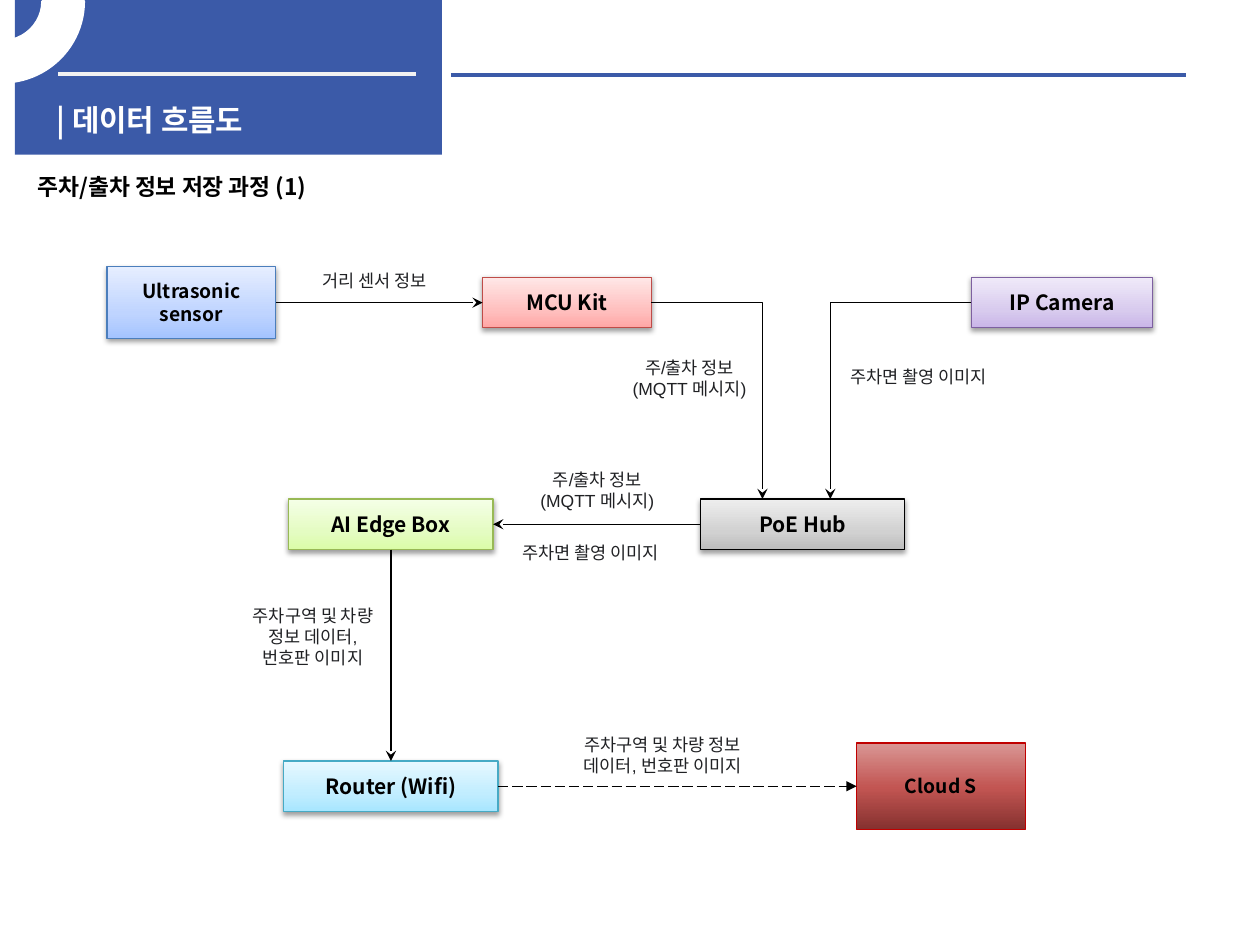
import lxml.etree
import pptx
import pptx.dml.color
import pptx.enum.dml
import pptx.enum.shapes
import pptx.enum.text
import pptx.oxml
import pptx.oxml.ns
import pptx.util

Cm, Pt, qn = pptx.util.Cm, pptx.util.Pt, pptx.oxml.ns.qn
SHAPE = pptx.enum.shapes.MSO_SHAPE
LINE = pptx.enum.shapes.MSO_CONNECTOR
ALIGN = pptx.enum.text.PP_ALIGN
ANCHOR = pptx.enum.text.MSO_ANCHOR
NS = pptx.oxml.ns.nsdecls("a")
HEAD_FONT, LABEL_FONT = "Noto Sans CJK KR", "Arial"
BLUE = "3B5AA8"
TOP, LEFT, BOTTOM, RIGHT = range(4)  # connection sites of a rectangle


def rgb(value):
    return pptx.dml.color.RGBColor.from_string(value)


def write(sp, text, size, font, color, bold=False, align=ALIGN.LEFT):
    tf = sp.text_frame
    tf.word_wrap = True
    tf.text = text
    for p in tf.paragraphs:
        p.alignment = align
        for r in p.runs:
            r.font.size, r.font.name, r.font.bold = Pt(size), font, bold
            r.font.color.rgb = rgb(color)
            ea = lxml.etree.SubElement(r.font._element, qn("a:ea"))
            ea.set("typeface", HEAD_FONT)


def add_text(s, x, y, w, h, text, *style, **options):
    sp = s.shapes.add_textbox(Cm(x), Cm(y), Cm(w), Cm(h))
    write(sp, text, *style, **options)


def add_filled(s, kind, x, y, w, h, color):
    sp = s.shapes.add_shape(kind, Cm(x), Cm(y), Cm(w), Cm(h))
    sp.shadow.inherit = False
    sp.fill.solid()
    sp.fill.fore_color.rgb = rgb(color)
    sp.line.fill.background()
    return sp


def add_line(s, x1, y1, x2, y2, color="000000", width=0.75, kind=LINE.STRAIGHT):
    c = s.shapes.add_connector(kind, x1, y1, x2, y2)
    c.line.color.rgb = rgb(color)
    c.line.width = Pt(width)
    lxml.etree.SubElement(c._element.spPr, qn("a:effectLst"))
    return c


def add_arrowhead(c, kind="stealth"):
    lxml.etree.SubElement(c.line._get_or_add_ln(), qn("a:tailEnd")).set("type", kind)


def add_node(s, x, y, w, h, text, size, stops, border, shadow=True):
    sp = add_filled(s, SHAPE.RECTANGLE, x, y, w, h, "FFFFFF")
    sp.line.color.rgb = rgb(border)
    sp.line.width = Pt(0.75)
    write(sp, text, size, HEAD_FONT, "000000", bold=True, align=ALIGN.CENTER)
    sp.text_frame.vertical_anchor = ANCHOR.MIDDLE
    # Gradient running from bottom to top
    sp_pr = sp._element.spPr
    marks = "".join(f'<a:gs pos="{pos * 1000}"><a:srgbClr val="{color}"/></a:gs>'
                    for pos, color in stops)
    sp_pr.replace(sp_pr.find(qn("a:solidFill")), pptx.oxml.parse_xml(
        f'<a:gradFill {NS} rotWithShape="1"><a:gsLst>{marks}</a:gsLst>'
        '<a:lin ang="16200000" scaled="0"/></a:gradFill>'))
    if shadow:
        sp_pr.find(qn("a:effectLst")).append(pptx.oxml.parse_xml(
            f'<a:outerShdw {NS} blurRad="{Pt(3.1)}" dist="{Pt(1.6)}" dir="5400000" '
            'rotWithShape="0"><a:srgbClr val="000000"><a:alpha val="38000"/>'
            '</a:srgbClr></a:outerShdw>'))
    return sp


def connect(s, start, start_site, end, end_site):
    c = add_line(s, 0, 0, 0, 0)
    c.begin_connect(start, start_site)
    c.end_connect(end, end_site)
    return c


def connect_down(s, x1, start, x2, end):
    """Run level from x1 at the middle of start, then drop onto end at x2."""
    c = add_line(s, x1, start.top + start.height // 2, x2, end.top, kind=LINE.ELBOW)
    c._element.spPr.find(qn("a:prstGeom")).set("prst", "bentConnector2")
    add_arrowhead(c)


def add_header(s, x, y, w, h):
    add_filled(s, SHAPE.RECTANGLE, x, y, w, h, BLUE)
    # Rules inside and beside the blue block
    add_line(s, Cm(x + 0.87), Cm(y + 1.5), Cm(x + 8.08), Cm(y + 1.5), "F2F2F2", 2.25)
    add_line(s, Cm(x + 8.79), Cm(y + 1.52), Cm(x + 23.6), Cm(y + 1.52), BLUE, 2.25)
    add_text(s, x + 0.59, y + 1.93, 8.2, 1.27, "| 데이터 흐름도",
             17, HEAD_FONT, "FFFFFF", bold=True)
    # Corner ring
    ring = add_filled(s, SHAPE.BLOCK_ARC, x - 1.9, y - 1.6, 3.28, 3.25, "FFFFFF")
    ring.line.color.rgb = rgb("FFFFFF")
    ring.line.width = Pt(2)
    ring.rotation = 180
    ring._element.spPr.find(qn("a:xfrm")).set("flipH", "1")
    for i, value in enumerate((96.95, 0, 0.25)):
        ring.adjustments[i] = value
    # Subtitle
    add_text(s, x + 0.21, h + 0.23, 10.21, 0.81, "주차/출차 정보 저장 과정 (1)",
             13, HEAD_FONT, "000000", bold=True)


def add_flow(s, x, y):
    # Nodes: place, text, size, gradient colours from the bottom, border
    def node(dx, dy, w, h, text, size, colors, border, middle=35, shadow=True):
        stops = zip((0, middle, 100), colors)
        return add_node(s, x + dx, y + dy, w, h, text, size, stops, border, shadow)

    sensor = node(0.16, 0.38, 3.4, 1.44, "Ultrasonic\vsensor", 11,
                  ("A4C4FF", "BFD4FF", "E6EEFF"), "4B7EBC")
    board = node(7.73, 0.59, 3.4, 1.02, "MCU Kit", 12,
                 ("FFA6A5", "FFC0BF", "FFE7E7"), "BF4C48")
    camera = node(17.58, 0.59, 3.66, 1.02, "IP Camera", 12,
                  ("C9B5E8", "D8CBEE", "F0EAF9"), "7D60A0")
    edge = node(3.82, 5.06, 4.12, 1.02, "AI Edge Box", 12,
                ("DAFDA7", "E4FCC2", "F5FFE7"), "98B955")
    hub = node(12.12, 5.06, 4.12, 1.02, "PoE Hub", 12,
               ("BDBDBD", "D1D1D1", "EEEEEE"), "000000")
    router = node(3.72, 10.34, 4.32, 1.02, "Router (Wifi)", 12,
                  ("A7E6FF", "C1EDFF", "E7F8FF"), "46AAC5")
    storage = node(15.27, 9.98, 3.4, 1.74, "Cloud S", 11,
                   ("85312F", "C25552", "D99694"), "C00000", middle=48, shadow=False)

    # Arrows
    for ends in ((sensor, RIGHT, board, LEFT), (hub, LEFT, edge, RIGHT),
                 (edge, BOTTOM, router, TOP)):
        add_arrowhead(connect(s, *ends))
    connect_down(s, board.left + board.width, board, Cm(x + 13.37), hub)
    connect_down(s, camera.left, camera, Cm(x + 14.74), hub)
    upload = connect(s, router, RIGHT, storage, LEFT)
    upload.line.dash_style = pptx.enum.dml.MSO_LINE.LONG_DASH
    add_arrowhead(upload, "triangle")

    # Arrow labels
    parking = "주/출차 정보\n(MQTT 메시지)"
    image = "주차면 촬영 이미지"
    record = "주차구역 및 차량 정보 데이터, 번호판 이미지"
    for dx, dy, w, h, text, align in (
            (4.25, 0.32, 2.82, 0.69, "거리 센서 정보", ALIGN.LEFT),
            (10.34, 2.07, 3.12, 1.12, parking, ALIGN.CENTER),
            (14.89, 2.26, 3.76, 0.69, image, ALIGN.LEFT),
            (8.21, 4.33, 3.66, 1.12, parking, ALIGN.CENTER),
            (8.29, 5.8, 3.66, 0.69, image, ALIGN.LEFT),
            (2.75, 7.07, 3.12, 1.96, record, ALIGN.CENTER),
            (9.2, 9.68, 4.32, 1.12, record, ALIGN.CENTER)):
        add_text(s, x + dx, y + dy, w, h, text, 10, LABEL_FONT, "202124", align=align)


def main():
    prs = pptx.Presentation()
    prs.slide_width, prs.slide_height = Cm(25.4), Cm(19.05)
    s = prs.slides.add_slide(prs.slide_layouts[6])
    add_header(s, 0.3, 0, 8.61, 3.12)
    add_flow(s, 2, 5)
    prs.save("out.pptx")


if __name__ == "__main__":
    main()
